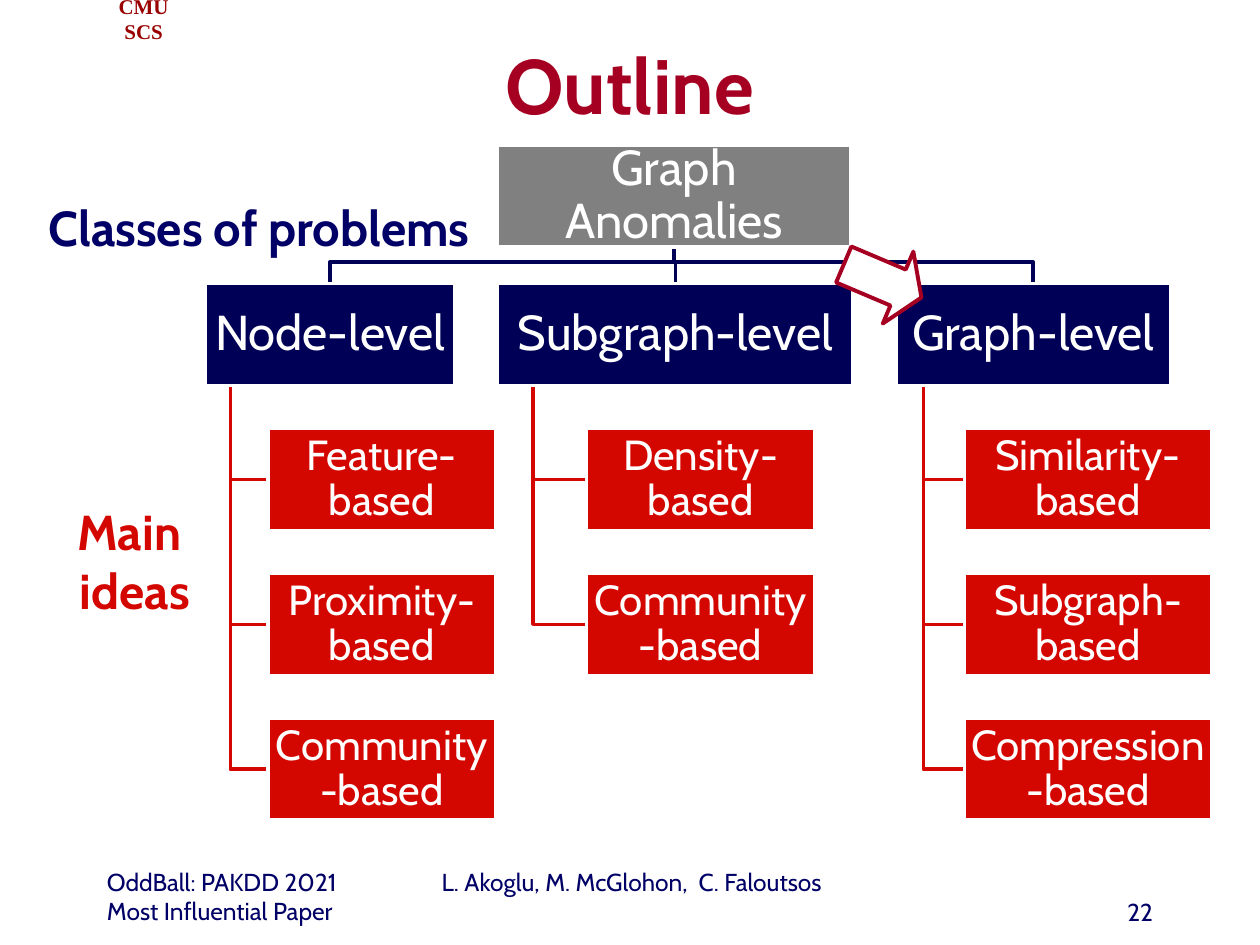
import collections

import pptx
import pptx.dml.color
import pptx.enum.shapes
import pptx.enum.text
import pptx.util

RGBColor = pptx.dml.color.RGBColor
CRIMSON = RGBColor(0xA5, 0x00, 0x21)
MAROON = RGBColor(0x99, 0x00, 0x00)
NAVY = RGBColor(0x00, 0x00, 0x66)
MIDNIGHT = RGBColor(0x00, 0x00, 0x56)
RED = RGBColor(0xD4, 0x07, 0x00)
GRAY = RGBColor(0x80, 0x80, 0x80)
WHITE = RGBColor(0xFF, 0xFF, 0xFF)

WIDTH, HEIGHT = pptx.util.Inches(10), pptx.util.Inches(7.5)
COLUMN, ROW = WIDTH / 10, HEIGHT / 7.5
NODE_HEIGHT, NODE_STEP, BRANCH_GAP = 0.81, 1.15, 0.34

ALIGN = pptx.enum.text.PP_ALIGN
ANCHOR = pptx.enum.text.MSO_ANCHOR
SHAPE = pptx.enum.shapes.MSO_SHAPE

Box = collections.namedtuple("Box", "left top width height")

BRANCHES = [
    ("Node-level", 1.98, 1.81, ["Feature-based", "Proximity-based", "Community-based"]),
    ("Subgraph-level", 2.82, 1.81, ["Density-based", "Community-based"]),
    ("Graph-level", 2.18, 1.96, ["Similarity-based", "Subgraph-based", "Compression-based"]),
]


def place(box):
    """Turn a box in columns and rows into slide lengths."""
    return (round(box.left * COLUMN), round(box.top * ROW),
            round(box.width * COLUMN), round(box.height * ROW))


def write(frame, words, size, color, bold=False, align=ALIGN.CENTER, font="Cabin"):
    """Fill a text frame with one styled paragraph."""
    frame.word_wrap = True
    frame.text = words
    para = frame.paragraphs[0]
    para.alignment = align
    para.font.name, para.font.size = font, pptx.util.Pt(size)
    para.font.bold, para.font.color.rgb = bold, color
    return para


def add_label(page, box, words, size, color, anchor=ANCHOR.TOP, **style):
    """Add a text box and return its frame."""
    frame = page.shapes.add_textbox(*place(box)).text_frame
    write(frame, words, size, color, **style)
    frame.vertical_anchor = anchor
    return frame


def add_filled(page, kind, box, fill, line, weight):
    """Add a preset shape with a fill and an outline."""
    shape = page.shapes.add_shape(kind, *place(box))
    shape.shadow.inherit = False
    shape.fill.solid()
    shape.fill.fore_color.rgb = fill
    shape.line.color.rgb = line
    shape.line.width = pptx.util.Pt(weight)
    return shape


def add_node(page, box, words, size, fill):
    """Add a box of the tree with its centred wording."""
    frame = add_filled(page, SHAPE.RECTANGLE, box, fill, WHITE, 2).text_frame
    frame.margin_left = frame.margin_right = pptx.util.Inches(0.02)
    frame.margin_top = frame.margin_bottom = pptx.util.Inches(0.02)
    frame.vertical_anchor = ANCHOR.MIDDLE
    write(frame, words, size, WHITE).line_spacing = 0.9


def add_elbow(page, points, color):
    """Draw an open bent line through grid points."""
    corners = [(round(x * COLUMN), round(y * ROW)) for x, y in points]
    builder = page.shapes.build_freeform(*corners[0])
    builder.add_line_segments(corners[1:], close=False)
    elbow = builder.convert_to_shape()
    elbow.shadow.inherit = False
    elbow.fill.background()
    elbow.line.color.rgb = color
    elbow.line.width = pptx.util.Pt(2)


def add_branch(page, box, title, idea_width, ideas):
    """Add a problem class in the box and hang its ideas below."""
    trunk, indent = box.left + 0.1 * box.width, box.left + 0.25 * box.width
    bottom = box.top + box.height
    tops = [box.top + NODE_STEP * (index + 1) for index in range(len(ideas))]
    for top in tops:
        middle = top + box.height / 2
        add_elbow(page, [(trunk, bottom), (trunk, middle), (indent, middle)], RED)
    add_node(page, box, title, 28, MIDNIGHT)
    for top, idea in zip(tops, ideas):
        add_node(page, Box(indent, top, idea_width, box.height), idea, 24, RED)


def add_tree(page, box):
    """Add the root, the problem classes and their ideas inside the box."""
    root = Box(box.left + 2.32, box.top, 2.8, NODE_HEIGHT)
    center, bottom = root.left + root.width / 2, root.top + root.height
    level_top, bend = box.top + 1.1, bottom + 0.12
    left, levels = box.left, []
    for _, width, _, _ in BRANCHES:
        levels.append(Box(left, level_top, width, NODE_HEIGHT))
        left += width + BRANCH_GAP
    for level in levels:
        middle = level.left + level.width / 2
        add_elbow(page, [(center, bottom), (center, bend), (middle, bend),
                         (middle, level_top)], MIDNIGHT)
    add_node(page, root, "Graph Anomalies", 28, GRAY)
    for level, (title, _, idea_width, ideas) in zip(levels, BRANCHES):
        add_branch(page, level, title, idea_width, ideas)


def add_header(page, box):
    """Add the group mark and the title inside the box."""
    add_label(page, Box(box.left - 0.08, box.top, 0.94, 0.3), "CMU SCS", 12, MAROON,
              ANCHOR.MIDDLE, bold=True, font="Times New Roman")
    add_label(page, Box(box.left, box.top + 0.29, box.width, 0.75), "Outline", 44,
              CRIMSON, ANCHOR.MIDDLE, bold=True)


def add_side_labels(page, box):
    """Name the two tiers of the tree beside it."""
    add_label(page, Box(box.left, box.top, box.width, 0.57), "Classes of problems",
              28, NAVY, bold=True)
    add_label(page, Box(box.left + 0.5, box.top + 2.41, 1.14, 1.04), "Main \videas",
              28, RED, bold=True)


def add_pointer(page, box):
    """Add the tilted arrow that marks the current class."""
    arrow = add_filled(page, SHAPE.RIGHT_ARROW, box, WHITE, CRIMSON, 2.25)
    arrow.adjustments[0], arrow.adjustments[1] = 0.5, 0.325
    arrow.rotation = 23


def add_footer(page, box):
    """Add the venue, the authors and the page number inside the box."""
    side = 2.08
    add_label(page, Box(box.left, box.top, side, box.height),
              "OddBall: PAKDD 2021 Most Influential Paper", 14, NAVY, align=ALIGN.LEFT)
    add_label(page, Box(box.left + 2.28, box.top, 3.97, box.height),
              "L. Akoglu, M. McGlohon,  C. Faloutsos", 14, NAVY)
    number = add_label(page, Box(box.left + box.width - side, box.top, side, box.height),
                       "22", 14, NAVY, align=ALIGN.RIGHT)
    number.margin_top = pptx.util.Inches(0.29)


def main():
    """Build the outline slide and save it."""
    deck = pptx.Presentation()
    deck.slide_width, deck.slide_height = WIDTH, HEIGHT
    page = deck.slides.add_slide(deck.slide_layouts[6])
    add_header(page, Box(0.75, 0, 8.5, 1.04))
    add_footer(page, Box(0.75, 6.83, 8.5, 0.5))
    add_tree(page, Box(1.63, 1.15, 7.98, 5.36))
    add_side_labels(page, Box(0, 1.52, 4.11, 3.45))
    add_pointer(page, Box(6.67, 1.92, 0.67, 0.62))
    deck.save("out.pptx")


if __name__ == "__main__":
    main()
